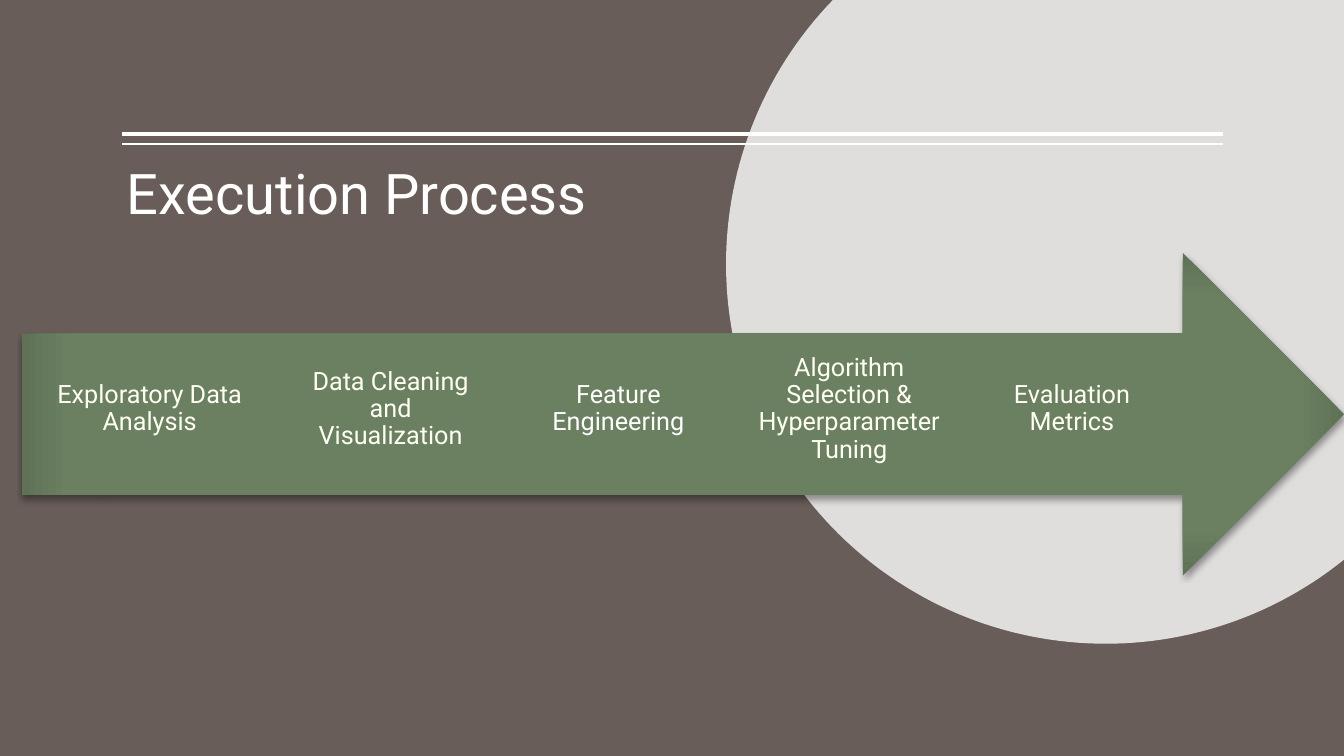
import math

from lxml import etree
from pptx import Presentation
from pptx.dml.color import RGBColor
from pptx.enum import shapes, text
from pptx.oxml import ns, parse_xml
from pptx.util import Pt

BROWN = RGBColor(0x68, 0x5D, 0x58)
WHITE = RGBColor(0xFF, 0xFF, 0xFF)
IVORY = RGBColor(0xFF, 0xFF, 0xF3)
GREEN_CENTER = RGBColor(0x6B, 0x81, 0x62)
GREEN_MIDDLE = RGBColor(0x6A, 0x80, 0x61)
GREEN_EDGE = RGBColor(0x5F, 0x72, 0x56)

SLIDE_WIDTH, SLIDE_HEIGHT = 960, 540
RULES = [(95.8, 3), (103, 1)]
STEPS = [
    ("Exploratory Data Analysis", 40.3, IVORY),
    ("Data Cleaning and Visualization", 212.4, IVORY),
    ("Feature Engineering", 375.1, WHITE),
    ("Algorithm Selection & Hyperparameter Tuning", 540, IVORY),
    ("Evaluation Metrics", 699.1, IVORY),
]
TITLE_FRAME = {"vertical_anchor": text.MSO_ANCHOR.BOTTOM, "margin_top": Pt(3.6), "margin_bottom": Pt(3.6)}
STEP_FRAME = {"vertical_anchor": text.MSO_ANCHOR.MIDDLE, "margin_top": Pt(14.4), "margin_bottom": Pt(14.4)}


def set_attributes(target, values):
    for name, value in values.items():
        setattr(target, name, value)


def write_text(shape, words, frame_format, alignment, size, color):
    frame = shape.text_frame
    frame.text = words
    common = {"word_wrap": True, "auto_size": text.MSO_AUTO_SIZE.NONE, "margin_left": 0, "margin_right": 0}
    set_attributes(frame, common | frame_format)
    paragraph = frame.paragraphs[0]
    set_attributes(paragraph, {"alignment": alignment, "line_spacing": 0.9})
    font = paragraph.runs[0].font
    set_attributes(font, {"name": "Roboto", "size": Pt(size)})
    font.color.rgb = color


def add_title(slide, words):
    title = slide.shapes.title
    set_attributes(title, {"left": Pt(90.7), "top": Pt(77), "width": Pt(376.6), "height": Pt(88.6)})
    write_text(title, words, TITLE_FRAME, text.PP_ALIGN.LEFT, 40, WHITE)


def add_rule(slide, top, weight):
    rule = slide.shapes.add_connector(
        shapes.MSO_CONNECTOR.STRAIGHT, Pt(873.4), Pt(top), Pt(87.1), Pt(top)
    )
    rule.line.width = Pt(weight)
    rule.line.color.rgb = WHITE
    etree.SubElement(rule._element.spPr, ns.qn("a:effectLst"))


def add_cropped_circle(slide, center_x, center_y, radius):
    start = math.acos((SLIDE_WIDTH - center_x) / radius)
    end = math.pi + math.asin(center_y / radius)
    segments = 120
    angles = [start + (end - start) * step / segments for step in range(segments + 1)]
    arc = [
        (Pt(center_x + radius * math.cos(angle)), Pt(center_y + radius * math.sin(angle)))
        for angle in angles
    ]
    builder = slide.shapes.build_freeform(Pt(SLIDE_WIDTH), 0)
    builder.add_line_segments(arc, close=True)
    circle = builder.convert_to_shape()
    circle.shadow.inherit = False
    circle.line.fill.background()
    circle.fill.solid()
    circle.fill.fore_color.rgb = WHITE
    color = circle._element.spPr.find(ns.qn("a:solidFill"))[0]
    etree.SubElement(color, ns.qn("a:alpha"), val="80000")


def add_arrow(slide):
    arrow = slide.shapes.add_shape(
        shapes.MSO_SHAPE.RIGHT_ARROW, Pt(15.8), Pt(180.7), Pt(944.4), Pt(230.4)
    )
    arrow.line.fill.background()
    arrow.shadow.inherit = False
    properties = arrow._element.spPr
    stops = "".join(
        f'<a:gs pos="{position * 1000}"><a:srgbClr val="{color}"/></a:gs>'
        for position, color in [(0, GREEN_CENTER), (71, GREEN_MIDDLE), (100, GREEN_EDGE)]
    )
    gradient = parse_xml(
        f'<a:gradFill {ns.nsdecls("a")} rotWithShape="1"><a:gsLst>{stops}</a:gsLst>'
        '<a:path path="rect"><a:fillToRect l="50000" t="50000" r="50000" b="50000"/></a:path>'
        "</a:gradFill>"
    )
    properties.find(ns.qn("a:prstGeom")).addnext(gradient)
    shadow = parse_xml(
        f'<a:outerShdw {ns.nsdecls("a")} blurRad="{Pt(3.1)}" dist="{Pt(2)}" dir="5400000" rotWithShape="0">'
        '<a:srgbClr val="000000"><a:alpha val="38000"/></a:srgbClr></a:outerShdw>'
    )
    properties.find(ns.qn("a:effectLst")).append(shadow)


def add_step(slide, words, left, color):
    box = slide.shapes.add_textbox(Pt(left), Pt(234.7), Pt(133.2), Pt(115.2))
    write_text(box, words, STEP_FRAME, text.PP_ALIGN.CENTER, 18, color)


def main():
    presentation = Presentation()
    set_attributes(presentation, {"slide_width": Pt(SLIDE_WIDTH), "slide_height": Pt(SLIDE_HEIGHT)})
    slide = presentation.slides.add_slide(presentation.slide_layouts[5])
    slide.background.fill.solid()
    slide.background.fill.fore_color.rgb = BROWN
    add_title(slide, "Execution Process")
    for top, weight in RULES:
        add_rule(slide, top, weight)
    add_cropped_circle(slide, 789.8, 188.6, 271.2)
    add_arrow(slide)
    for words, left, color in STEPS:
        add_step(slide, words, left, color)
    presentation.save("out.pptx")


if __name__ == "__main__":
    main()
